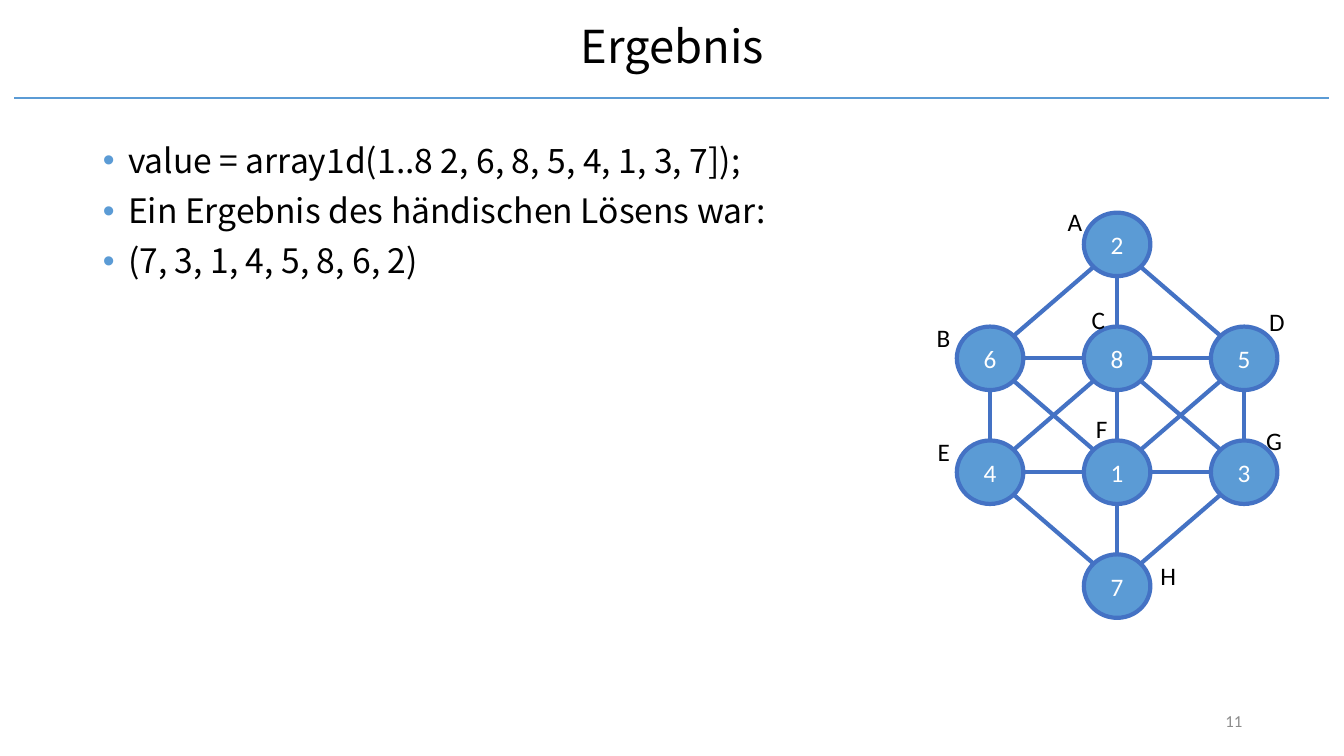
"""Build the result slide with the solved eight-node number graph."""
from dataclasses import dataclass
from math import sqrt

from lxml import etree
from pptx import Presentation
from pptx.dml.color import RGBColor
from pptx.enum import shapes, text
from pptx.oxml import ns
from pptx.util import Inches, Pt


@dataclass(frozen=True)
class Theme:
    heading_font: str = "Noto Sans CJK SC"
    label_font: str = "Calibri"
    black: str = "000000"
    white: str = "FFFFFF"
    grey: str = "8C8C8C"
    accent: str = "5B9BD5"
    edge: str = "4472C4"
    title_size: float = 32.4
    body_size: float = 24
    label_size: float = 18
    number_size: float = 12
    rule_width: float = 1.5
    edge_width: float = 3


THEME = Theme()
TITLE = "Ergebnis"
BULLETS = [
    "value = array1d(1..8 2, 6, 8, 5, 4, 1, 3, 7]);",
    "Ein Ergebnis des händischen Lösens war:",
    "(7, 3, 1, 4, 5, 8, 6, 2)",
]
SLIDE_NUMBER = "11"
# name: (value, column, row, label left, label top, label width)
NODES = {
    "A": ("2", 1, 0, 10.49, 2.00, 0.35),
    "B": ("6", 0, 1, 9.19, 3.15, 0.35),
    "C": ("8", 1, 1, 10.73, 2.97, 0.34),
    "D": ("5", 2, 1, 12.49, 2.99, 0.36),
    "E": ("4", 0, 2, 9.20, 4.28, 0.32),
    "F": ("1", 1, 2, 10.77, 4.05, 0.32),
    "G": ("3", 2, 2, 12.46, 4.17, 0.36),
    "H": ("7", 1, 3, 11.41, 5.51, 0.36),
}
EDGES = "AB AC AD BC CD BE BF CE CF CG DF DG EF FG EH FH GH".split()
GRID_LEFT, GRID_TOP = 9.49, 2.11
COLUMN_STEP, ROW_STEP = 1.26, 1.13
NODE_WIDTH, NODE_HEIGHT = 0.66, 0.63
LABEL_HEIGHT = 0.4


def colour(value):
    return RGBColor.from_string(value)


def place(shape, left, top, width, height):
    shape.left, shape.top = Inches(left), Inches(top)
    shape.width, shape.height = Inches(width), Inches(height)


def write(paragraph, words, font, size, ink):
    run = paragraph.add_run()
    run.text = words
    run.font.name, run.font.size = font, Pt(size)
    run.font.color.rgb = colour(ink)


def add_line(slide, start, end, ink, width):
    line = slide.shapes.add_connector(
        shapes.MSO_CONNECTOR.STRAIGHT, *map(Inches, start + end))
    line.line.color.rgb = colour(ink)
    line.line.width = Pt(width)
    etree.SubElement(line._element.spPr, ns.qn("a:effectLst"))


def add_text(slide, box, words, size, ink, align, wrap, anchor):
    shape = slide.shapes.add_textbox(*map(Inches, box))
    frame = shape.text_frame
    frame.word_wrap, frame.vertical_anchor = wrap, anchor
    frame.paragraphs[0].alignment = align
    write(frame.paragraphs[0], words, THEME.label_font, size, ink)


def add_bullet(paragraph):
    properties = paragraph._p.get_or_add_pPr()
    properties.set("marL", str(Inches(0.25)))
    properties.set("indent", str(-Inches(0.25)))
    bullet_colour = etree.SubElement(properties, ns.qn("a:buClr"))
    etree.SubElement(bullet_colour, ns.qn("a:srgbClr"), val=THEME.accent)
    etree.SubElement(properties, ns.qn("a:buFont"), typeface="Arial")
    etree.SubElement(properties, ns.qn("a:buChar"), char="•")


def fill_title(title):
    place(title, 0.92, 0.17, 11.5, 0.63)
    frame = title.text_frame
    frame.auto_size = text.MSO_AUTO_SIZE.NONE
    frame.vertical_anchor = text.MSO_ANCHOR.MIDDLE
    paragraph = frame.paragraphs[0]
    paragraph.alignment, paragraph.line_spacing = text.PP_ALIGN.CENTER, 0.9
    write(paragraph, TITLE, THEME.heading_font, THEME.title_size, THEME.black)


def fill_body(body):
    place(body, 0.92, 1.38, 11.5, 5.37)
    frame = body.text_frame
    frame.auto_size = text.MSO_AUTO_SIZE.NONE
    for index, words in enumerate(BULLETS):
        paragraph = frame.add_paragraph() if index else frame.paragraphs[0]
        add_bullet(paragraph)
        paragraph.line_spacing = 0.9
        paragraph.space_before = Pt(10 if index else 0)
        write(paragraph, words, THEME.heading_font, THEME.body_size, THEME.black)


def node_centre(name):
    column, row = NODES[name][1:3]
    return (GRID_LEFT + column * COLUMN_STEP + NODE_WIDTH / 2,
            GRID_TOP + row * ROW_STEP + NODE_HEIGHT / 2)


def rim_point(name, other):
    centre_x, centre_y = node_centre(name)
    column, row = NODES[name][1:3]
    other_column, other_row = NODES[other][1:3]
    across, down = other_column - column, other_row - row
    reach = 1 / sqrt(across ** 2 + down ** 2)
    return (centre_x + across * reach * NODE_WIDTH / 2,
            centre_y + down * reach * NODE_HEIGHT / 2)


def add_node(slide, name, value):
    centre_x, centre_y = node_centre(name)
    node = slide.shapes.add_shape(
        shapes.MSO_SHAPE.OVAL, Inches(centre_x - NODE_WIDTH / 2),
        Inches(centre_y - NODE_HEIGHT / 2), Inches(NODE_WIDTH), Inches(NODE_HEIGHT))
    node.shadow.inherit = False
    node.fill.solid()
    node.fill.fore_color.rgb = colour(THEME.accent)
    node.line.color.rgb = colour(THEME.edge)
    node.line.width = Pt(THEME.edge_width)
    frame = node.text_frame
    frame.vertical_anchor = text.MSO_ANCHOR.MIDDLE
    frame.paragraphs[0].alignment = text.PP_ALIGN.CENTER
    write(frame.paragraphs[0], value, THEME.label_font, THEME.label_size, THEME.white)


def add_graph(slide):
    for first, second in EDGES:
        add_line(slide, rim_point(first, second), rim_point(second, first),
                 THEME.edge, THEME.edge_width)
    for name, (value, *_) in NODES.items():
        add_node(slide, name, value)
    for name, (_, _, _, left, top, width) in NODES.items():
        add_text(slide, (left, top, width, LABEL_HEIGHT), name, THEME.label_size,
                 THEME.black, text.PP_ALIGN.LEFT, False, text.MSO_ANCHOR.TOP)


def main():
    presentation = Presentation()
    presentation.slide_width, presentation.slide_height = Inches(13.33), Inches(7.5)
    slide = presentation.slides.add_slide(presentation.slide_layouts[1])
    fill_title(slide.shapes.title)
    fill_body(slide.placeholders[1])
    add_line(slide, (0.14, 0.97), (13.18, 0.97), THEME.accent, THEME.rule_width)
    add_text(slide, (9.42, 6.95, 3, 0.4), SLIDE_NUMBER, THEME.number_size,
             THEME.grey, text.PP_ALIGN.RIGHT, True, text.MSO_ANCHOR.MIDDLE)
    add_graph(slide)
    presentation.save("out.pptx")


if __name__ == "__main__":
    main()
